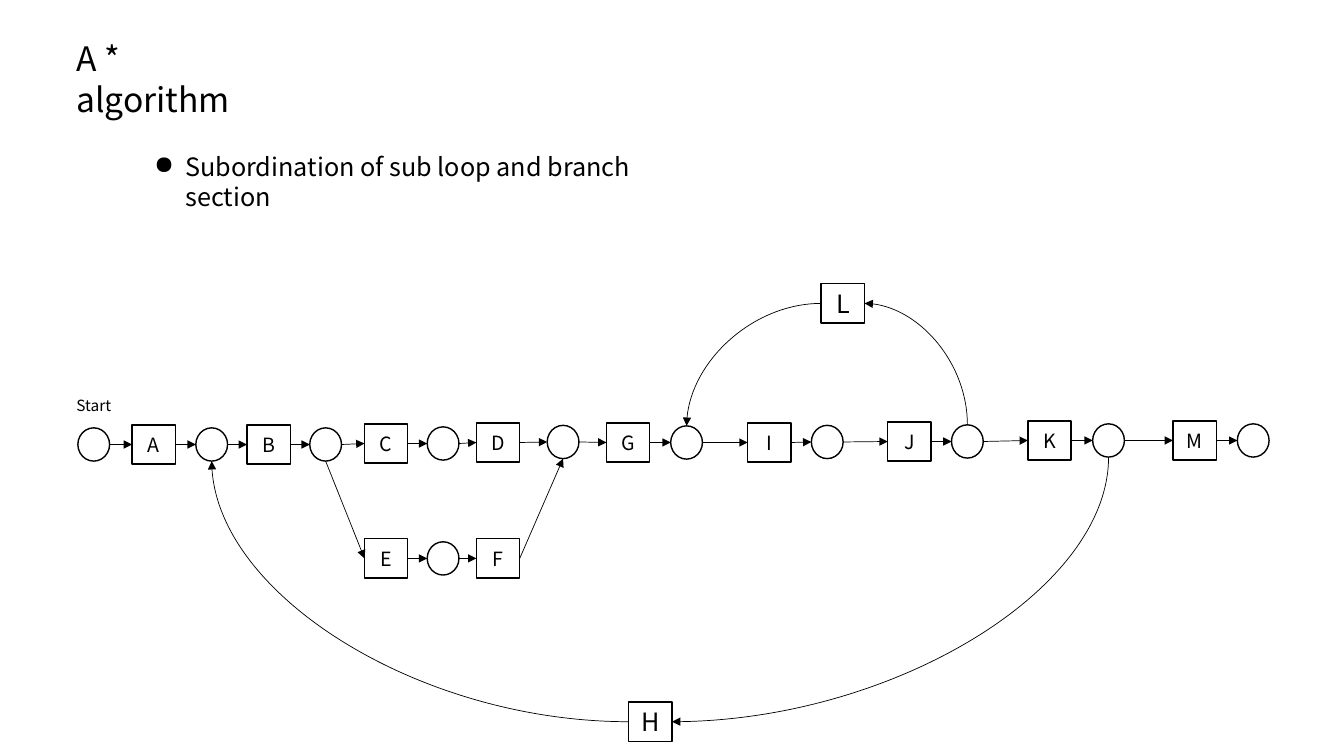
from dataclasses import dataclass
from itertools import pairwise

from lxml.etree import SubElement
from pptx import Presentation
from pptx.dml.color import RGBColor
from pptx.enum.shapes import MSO_CONNECTOR as Link, MSO_SHAPE as Shape
from pptx.enum.text import MSO_ANCHOR as Anchor, PP_ALIGN as Align
from pptx.oxml.ns import qn
from pptx.util import Inches, Pt

TOP, LEFT, BOTTOM, RIGHT = range(4)


@dataclass(frozen=True)
class Theme:
    font: str = "Noto Sans CJK SC"
    ink: RGBColor = RGBColor(0, 0, 0)
    title: int = 24
    body: int = 18
    loop: int = 18
    step: int = 14
    note: int = 11
    outline: float = 1
    arrow: float = 0.5


class FlowSlide:
    """Draws a process net on one slide, in grid cells of a tenth of an inch."""

    cell = Inches(0.1)
    box = (4.3, 3.9)
    circle = (3.15, 3.3)

    def __init__(self, slide, theme):
        self.shapes = slide.shapes
        self.theme = theme

    def grid(self, *cells):
        return [round(value * self.cell) for value in cells]

    def put_text(self, frame, text, size, align=Align.LEFT, bullet=None, indent=0):
        paragraph = frame.paragraphs[0]
        paragraph.alignment = align
        run = paragraph.add_run()
        run.text = text
        run.font.name = self.theme.font
        run.font.size = Pt(size)
        run.font.color.rgb = self.theme.ink
        if bullet:
            properties = paragraph._p.get_or_add_pPr()
            hang = self.grid(indent)[0]
            properties.set("marL", str(hang))
            properties.set("indent", str(-hang))
            SubElement(properties, qn("a:buChar"), char=bullet)

    def caption(self, text, column, row, width, height, **style):
        frame = self.shapes.add_textbox(*self.grid(column, row, width, height)).text_frame
        frame.word_wrap = True
        self.put_text(frame, text, **style)

    def node(self, kind, size, x, y):
        width, height = size
        node = self.shapes.add_shape(kind, *self.grid(x - width / 2, y - height / 2, width, height))
        node.shadow.inherit = False
        node.fill.background()
        node.line.color.rgb = self.theme.ink
        node.line.width = Pt(self.theme.outline)
        return node

    def state(self, x, y):
        return self.node(Shape.OVAL, self.circle, x, y)

    def step(self, letter, x, y, size):
        step = self.node(Shape.RECTANGLE, self.box, x, y)
        frame = step.text_frame
        frame.margin_left = frame.margin_right = 0
        frame.margin_top = frame.margin_bottom = 0
        frame.vertical_anchor = Anchor.MIDDLE
        self.put_text(frame, letter, size, align=Align.CENTER)
        return step

    def side(self, node, side):
        x, y = node.left + node.width // 2, node.top + node.height // 2
        return {
            TOP: (x, node.top),
            LEFT: (node.left, y),
            BOTTOM: (x, node.top + node.height),
            RIGHT: (node.left + node.width, y),
        }[side]

    def finish_arrow(self, link):
        link.line.color.rgb = self.theme.ink
        link.line.width = Pt(self.theme.arrow)
        SubElement(link.line._get_or_add_ln(), qn("a:tailEnd"), type="triangle")
        SubElement(link.element.spPr, qn("a:effectLst"))

    def arrow(self, source, target, leave=RIGHT, enter=LEFT):
        link = self.shapes.add_connector(
            Link.STRAIGHT, *self.side(source, leave), *self.side(target, enter))
        if source.auto_shape_type == Shape.RECTANGLE:
            link.begin_connect(source, leave)
        if target.auto_shape_type == Shape.RECTANGLE:
            link.end_connect(target, enter)
        self.finish_arrow(link)

    def arc_back(self, source, target, leave, enter):
        x1, y1 = self.side(source, leave)
        x2, y2 = self.side(target, enter)
        width, height = abs(x2 - x1), abs(y2 - y1)
        down = y2 > y1
        if leave == LEFT:
            turn, mirrored = 180, down
        else:
            turn, mirrored = (90 if down else 270), not down
            width, height = height, width
        left, top = (x1 + x2 - width) // 2, (y1 + y2 - height) // 2
        link = self.shapes.add_connector(Link.CURVE, left, top, left + width, top + height)
        properties = link.element.spPr
        properties.find(qn("a:prstGeom")).set("prst", "curvedConnector2")
        placement = properties.find(qn("a:xfrm"))
        placement.set("rot", str(turn * 60000))
        if mirrored:
            placement.set("flipV", "1")
        self.finish_arrow(link)


MAIN_ROUTE = [
    ("start", 9.3, 44.1), ("A", 15.25, 44.1), ("outer entry", 21, 44.1),
    ("B", 26.65, 44.1), ("fork", 32.3, 44.1), ("C", 38.3, 44),
    ("after C", 43.95, 44), ("D", 49.4, 43.9), ("merge", 55.85, 43.85),
    ("G", 62.3, 43.9), ("inner entry", 68.1, 43.9), ("I", 76.3, 43.9),
    ("after I", 82.05, 43.85), ("J", 90.2, 43.8), ("inner exit", 95.95, 43.8),
    ("K", 104.1, 43.7), ("outer exit", 109.95, 43.7), ("M", 118.5, 43.7),
    ("end", 124.3, 43.7),
]
BRANCH = [("E", 38.3, 55.4), ("after E", 43.95, 55.4), ("F", 49.4, 55.4)]
LOOPS = [
    ("H", 64.5, 71.6, "outer exit", BOTTOM, "outer entry", BOTTOM),
    ("L", 83.6, 30.1, "inner exit", TOP, "inner entry", TOP),
]


def main():
    deck = Presentation()
    deck.slide_width, deck.slide_height = Inches(13.33), Inches(7.5)
    theme = Theme()
    flow = FlowSlide(deck.slides.add_slide(deck.slide_layouts[6]), theme)

    flow.caption("A * algorithm", 6.6, 3.3, 21.4, 5, size=theme.title)
    flow.caption("Subordination of sub loop and branch section", 14.3, 14.5, 54.9, 4,
                 size=theme.body, bullet="●", indent=3.1)
    flow.caption("Start", 6.6, 38.8, 5.9, 3.3, size=theme.note)

    nodes = {}
    for route in (MAIN_ROUTE, BRANCH):
        for name, x, y in route:
            is_step = len(name) == 1
            nodes[name] = flow.step(name, x, y, theme.step) if is_step else flow.state(x, y)
        for (source, *_), (target, *_) in pairwise(route):
            flow.arrow(nodes[source], nodes[target])

    flow.arrow(nodes["fork"], nodes["E"], leave=BOTTOM)
    flow.arrow(nodes["F"], nodes["merge"], enter=BOTTOM)

    for letter, x, y, loop_exit, leave, loop_entry, enter in LOOPS:
        repeat = flow.step(letter, x, y, theme.loop)
        flow.arc_back(nodes[loop_exit], repeat, leave, RIGHT)
        flow.arc_back(repeat, nodes[loop_entry], LEFT, enter)

    deck.save("out.pptx")


if __name__ == "__main__":
    main()
